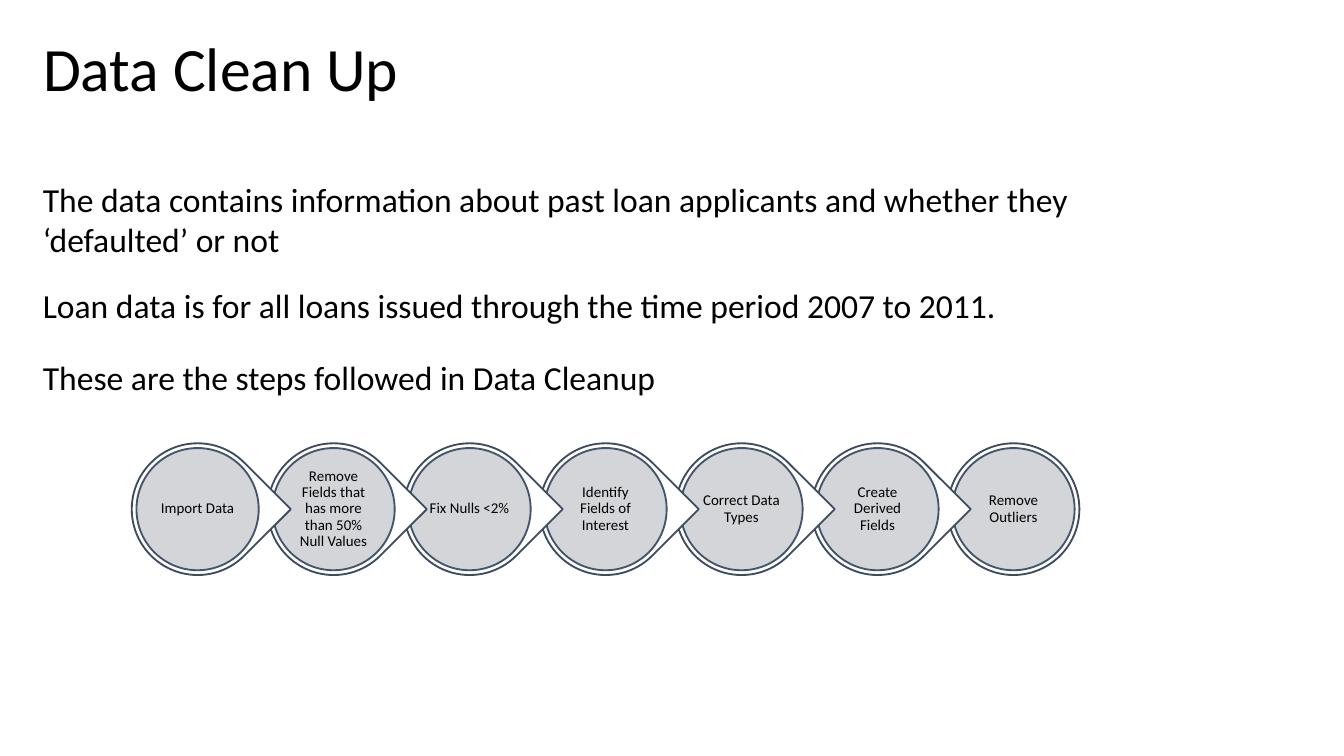
from pptx import Presentation
from pptx import util as u
from pptx.dml.color import RGBColor
from pptx.enum import shapes, text
from pptx.oxml.ns import qn
from lxml import etree

COLORS = {
    "text": "000000",
    "drop": "FFFFFF",
    "drop_line": "3E4C60",
    "disc": "CFD1D4",
    "disc_line": "44546A",
}
FONT = "Calibri"
STEPS = [
    "Import Data",
    "Remove Fields that has more than 50% Null Values",
    "Fix Nulls <2%",
    "Identify Fields of Interest",
    "Correct Data Types",
    "Create Derived Fields",
    "Remove Outliers",
]
# Left, top, width, height in centimetres
STATEMENTS = [
    ("The data contains information about past loan applicants and whether they "
     "‘defaulted’ or not", (0.56, 3.25, 22.05, 1.8)),
    ("Loan data is for all loans issued through the time period 2007 to 2011.",
     (0.56, 5.26, 22.17, 1.02)),
    ("These are the steps followed in Data Cleanup", (0.56, 6.63, 12.7, 1.02)),
]


def color(name):
    return RGBColor.from_string(COLORS[name])


def write(shape, words, size, align=text.PP_ALIGN.LEFT, spacing=None):
    frame = shape.text_frame
    frame.word_wrap = True
    frame.auto_size = text.MSO_AUTO_SIZE.NONE
    para = frame.paragraphs[0]
    para.text = words
    para.alignment = align
    para.line_spacing = spacing
    para.font.name = FONT
    para.font.size = u.Pt(size)
    para.font.color.rgb = color("text")
    return frame


def add_title(page, box):
    title = page.shapes.title
    title.left, title.top, title.width, title.height = map(u.Cm, box)
    frame = write(title, "Data Clean Up", 33, spacing=0.9)
    frame.vertical_anchor = text.MSO_ANCHOR.MIDDLE


def add_statement(page, words, box):
    write(page.shapes.add_textbox(*map(u.Cm, box)), words, 18)


def add_round(group, kind, center_x, center_y, size, fill):
    shape = group.shapes.add_shape(
        kind, u.Cm(center_x - size / 2), u.Cm(center_y - size / 2),
        u.Cm(size), u.Cm(size))
    shape.shadow.inherit = False
    shape.fill.solid()
    shape.fill.fore_color.rgb = color(fill)
    shape.line.color.rgb = color(fill + "_line")
    shape.line.width = u.Pt(1)
    return shape


def add_step(group, words, center_x, center_y, size, is_last):
    # Outer drop pointing to the next step, plain circle at the end
    kinds = shapes.MSO_SHAPE
    kind = kinds.OVAL if is_last else kinds.TEAR
    drop = add_round(group, kind, center_x, center_y, size, "drop")
    if not is_last:
        drop.adjustments[0] = 1
        drop.rotation = 45

    # Slightly transparent disc
    disc = add_round(group, kinds.OVAL, center_x, center_y, 2.31, "disc")
    tint = disc.fill._xPr.find(".//" + qn("a:srgbClr"))
    etree.SubElement(tint, qn("a:alpha"), val="90000")

    # Label
    side = 1.65
    label = group.shapes.add_textbox(
        u.Cm(center_x - side / 2), u.Cm(center_y - side / 2), u.Cm(side), u.Cm(side))
    frame = write(label, words, 8, text.PP_ALIGN.CENTER, 0.9)
    frame.vertical_anchor = text.MSO_ANCHOR.MIDDLE
    frame.margin_left = frame.margin_right = u.Cm(0.03)
    frame.margin_top = frame.margin_bottom = u.Cm(0.03)


def add_process(page, box):
    left, top, width, height = box
    group = page.shapes.add_group_shape()
    last = len(STEPS) - 1
    pitch = (width - height) / last
    # Earlier steps lie over later ones
    for index in reversed(range(len(STEPS))):
        add_step(group, STEPS[index], left + height / 2 + index * pitch,
                 top + height / 2, height, index == last)


def main():
    deck = Presentation()
    deck.slide_width, deck.slide_height = u.Cm(25.4), u.Cm(14.29)
    page = deck.slides.add_slide(deck.slide_layouts[5])
    add_title(page, (0.56, 0.48, 22.56, 1.75))
    for words, box in STATEMENTS:
        add_statement(page, words, box)
    add_process(page, (2.49, 8.38, 17.91, 2.49))
    deck.save("out.pptx")


if __name__ == "__main__":
    main()
